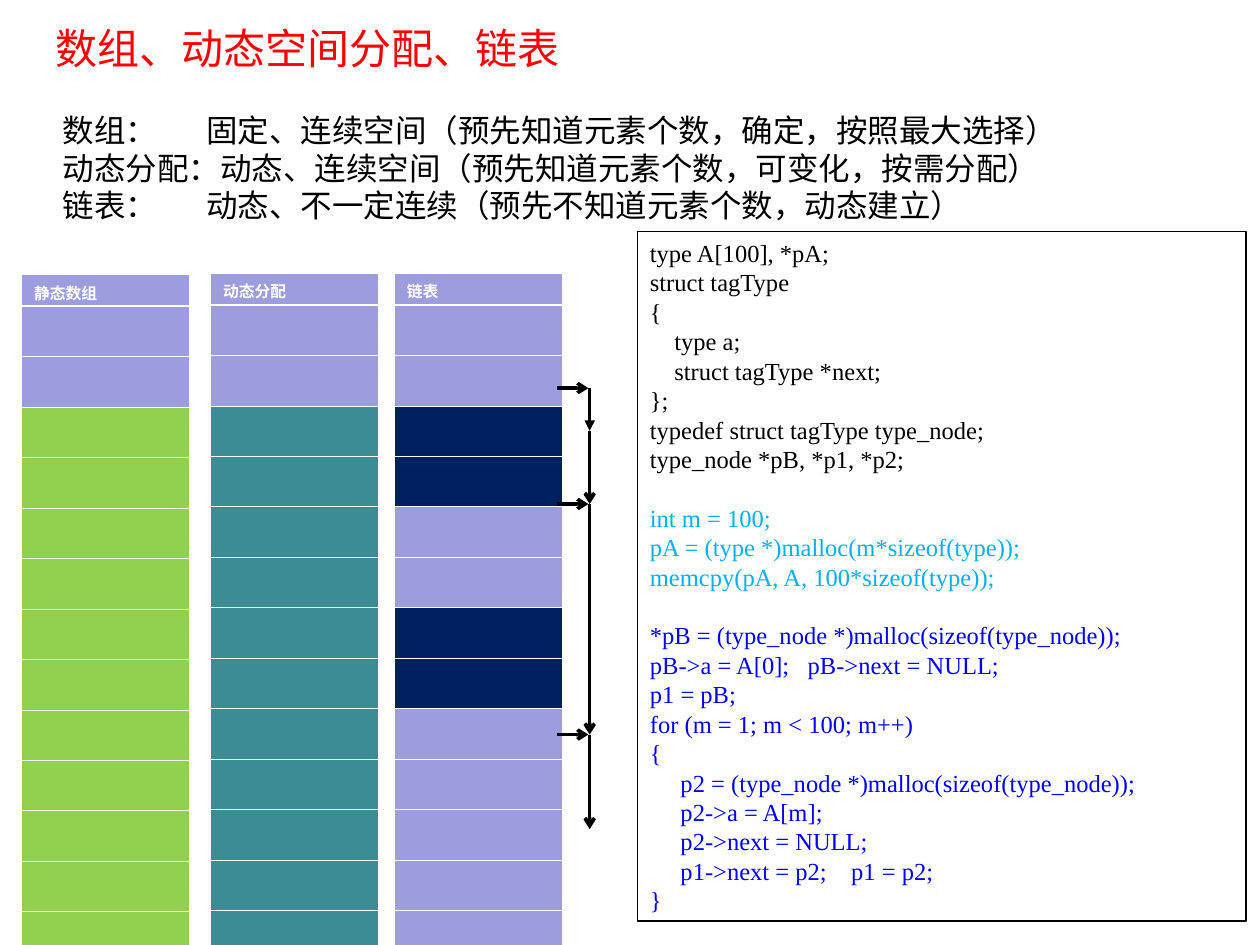
import dataclasses

import pptx
import pptx.dml.color
import pptx.enum.shapes
import pptx.enum.text
import pptx.oxml
import pptx.oxml.ns
import pptx.util
from pptx.util import Inches


@dataclasses.dataclass(frozen=True)
class Theme:
    red: str = "FF0000"
    black: str = "000000"
    white: str = "FFFFFF"
    sky: str = "00B0F0"
    blue: str = "0000FF"
    free: str = "9C9CDF"
    static: str = "92D050"
    dynamic: str = "3C8C93"
    node: str = "002060"
    serif: str = "Times New Roman"
    sans: str = "Arial"
    chinese: str = "Noto Sans CJK SC"
    title_size: float = 24
    body_size: float = 18
    code_size: float = 14
    header_size: float = 9
    leading: float = 1.2


THEME = Theme()

SUMMARY = [
    "数组：\t固定、连续空间（预先知道元素个数，确定，按照最大选择）",
    "动态分配：动态、连续空间（预先知道元素个数，可变化，按需分配）",
    "链表：\t动态、不一定连续（预先不知道元素个数，动态建立）",
]

# Each code block has its own colour
CODE = [
    (THEME.black, """type A[100], *pA;
struct tagType
{
    type a;
    struct tagType *next;
};
typedef struct tagType type_node;
type_node *pB, *p1, *p2;"""),
    (THEME.sky, """int m = 100;
pA = (type *)malloc(m*sizeof(type));
memcpy(pA, A, 100*sizeof(type));"""),
    (THEME.blue, """*pB = (type_node *)malloc(sizeof(type_node));
pB->a = A[0];   pB->next = NULL;
p1 = pB;
for (m = 1; m < 100; m++)
{
     p2 = (type_node *)malloc(sizeof(type_node));
     p2->a = A[m];
     p2->next = NULL;
     p1->next = p2;    p1 = p2;
}"""),
]

# Memory columns: left, top, heading, runs of (colour, number of cells)
COLUMNS = [
    (0.17, 2.18, "静态数组", [(THEME.free, 2), (THEME.static, 11), (THEME.free, 6)]),
    (1.67, 2.17, "动态分配", [(THEME.free, 2), (THEME.dynamic, 11), (THEME.free, 6)]),
    (3.13, 2.17, "链表", [(THEME.free, 2), (THEME.node, 2), (THEME.free, 2),
                        (THEME.node, 2), (THEME.free, 6), (THEME.node, 2),
                        (THEME.free, 3)]),
]


def rgb(color):
    return pptx.dml.color.RGBColor.from_string(color)


def set_attributes(target, values):
    for name, value in values.items():
        setattr(target, name, value)


def add_element(parent, tag, attributes="", content="", position=None):
    namespace = pptx.oxml.ns.nsdecls("a")
    element = pptx.oxml.parse_xml(f"<a:{tag} {namespace} {attributes}>{content}</a:{tag}>")
    parent.insert(len(parent) if position is None else position, element)


def write(paragraph, text, font, size, color, bold=False):
    run = paragraph.add_run()
    run.text = text
    set_attributes(run.font, {"name": font, "size": pptx.util.Pt(size), "bold": bold})
    run.font.color.rgb = rgb(color)
    add_element(run.font._element, "ea", f'typeface="{THEME.chinese}"')


def set_leading(paragraph, size):
    set_attributes(paragraph, {
        "alignment": pptx.enum.text.PP_ALIGN.LEFT,
        "line_spacing": pptx.util.Pt(round(size * THEME.leading, 1)),
    })


def format_frame(frame, wrap):
    set_attributes(frame, {
        "word_wrap": wrap,
        "auto_size": pptx.enum.text.MSO_AUTO_SIZE.SHAPE_TO_FIT_TEXT,
        "vertical_anchor": pptx.enum.text.MSO_ANCHOR.TOP,
    })


def place_title(slide, left, top, width, height):
    title = slide.shapes.title
    set_attributes(title, {"left": Inches(left), "top": Inches(top),
                           "width": Inches(width), "height": Inches(height)})
    format_frame(title.text_frame, False)
    paragraph = title.text_frame.paragraphs[0]
    set_leading(paragraph, THEME.title_size)
    write(paragraph, "数组、动态空间分配、链表", THEME.serif, THEME.title_size, THEME.red)


def add_summary(slide, left, top, width, height):
    box = slide.shapes.add_textbox(*map(Inches, (left, top, width, height)))
    format_frame(box.text_frame, False)
    for index, line in enumerate(SUMMARY):
        paragraph = box.text_frame.paragraphs[0] if index == 0 else box.text_frame.add_paragraph()
        set_leading(paragraph, THEME.body_size)
        add_element(paragraph._p.get_or_add_pPr(), "tabLst",
                    content=f'<a:tab pos="{Inches(1.14)}" algn="l"/>')
        write(paragraph, line, THEME.chinese, THEME.body_size, THEME.black)


def set_borders(cell, row):
    widths = {"L": 0.45, "R": 0.45, "T": 1.47 if row == 1 else 0.45,
              "B": 1.47 if row == 0 else 0.45}
    fill = f'<a:solidFill><a:srgbClr val="{THEME.white}"/></a:solidFill>'
    for position, (side, width) in enumerate(widths.items()):
        add_element(cell._tc.get_or_add_tcPr(), f"ln{side}",
                    f'w="{pptx.util.Pt(width)}"', fill, position)


def add_memory_column(slide, left, top, width, height, heading, runs):
    fills = [THEME.free] + [color for color, count in runs for _ in range(count)]
    frame = slide.shapes.add_table(len(fills), 1, *map(Inches, (left, top, width, height)))
    table = frame.table
    set_attributes(table, {"first_row": True, "horz_banding": False})
    for row, color in enumerate(fills):
        table.rows[row].height = Inches(0.25 if row == 0 else 0.24)
        cell = table.cell(row, 0)
        cell.fill.solid()
        cell.fill.fore_color.rgb = rgb(color)
        set_borders(cell, row)
        if row:
            set_leading(cell.text_frame.paragraphs[0], THEME.body_size)
    write(table.cell(0, 0).text_frame.paragraphs[0], heading,
          THEME.sans, THEME.header_size, THEME.white, bold=True)


def add_arrow(slide, start, end, head="arrow"):
    connector = slide.shapes.add_connector(pptx.enum.shapes.MSO_CONNECTOR.STRAIGHT,
                                           *map(Inches, (*start, *end)))
    connector.line.width = pptx.util.Pt(2)
    connector.line.color.rgb = rgb(THEME.black)
    add_element(connector.line._get_or_add_ln(), "tailEnd", f'type="{head}"')
    add_element(connector._element.spPr, "effectLst")


def add_links(slide, left, top):
    right = left + 0.26
    first, middle, second, third, last = (top + offset for offset in (0, 0.34, 0.92, 2.75, 3.5))
    # Chain from node to node
    add_arrow(slide, (right, first), (right, middle), "triangle")
    for start, end in ((middle, second), (second, third), (third, last)):
        add_arrow(slide, (right, start), (right, end))
    # Pointers leaving the list cells
    for level in (first, second, third):
        add_arrow(slide, (left, level), (left + 0.25, level))


def add_code(slide, left, top, width, height):
    box = slide.shapes.add_shape(pptx.enum.shapes.MSO_SHAPE.RECTANGLE,
                                 *map(Inches, (left, top, width, height)))
    box.shadow.inherit = False
    box.fill.background()
    box.line.color.rgb = rgb(THEME.black)
    box.line.width = pptx.util.Pt(0.75)
    format_frame(box.text_frame, True)
    for block, (color, code) in enumerate(CODE):
        for index, line in enumerate(code.splitlines()):
            first = block == index == 0
            paragraph = box.text_frame.paragraphs[0] if first else box.text_frame.add_paragraph()
            set_leading(paragraph, THEME.code_size)
            if block and index == 0:
                paragraph.space_before = paragraph.line_spacing
            write(paragraph, line, THEME.serif, THEME.code_size, color)


def main():
    presentation = pptx.Presentation()
    set_attributes(presentation, {"slide_width": Inches(10), "slide_height": Inches(7.5)})
    slide = presentation.slides.add_slide(presentation.slide_layouts[5])
    place_title(slide, 0.34, 0.13, 4.5, 0.5)
    add_summary(slide, 0.4, 0.83, 8.09, 1)
    for left, top, heading, runs in COLUMNS:
        add_memory_column(slide, left, top, 1.33, 4.82, heading, runs)
    add_links(slide, 4.42, 3.08)
    add_code(slide, 5.06, 1.84, 4.83, 5.47)
    presentation.save("out.pptx")


if __name__ == "__main__":
    main()
